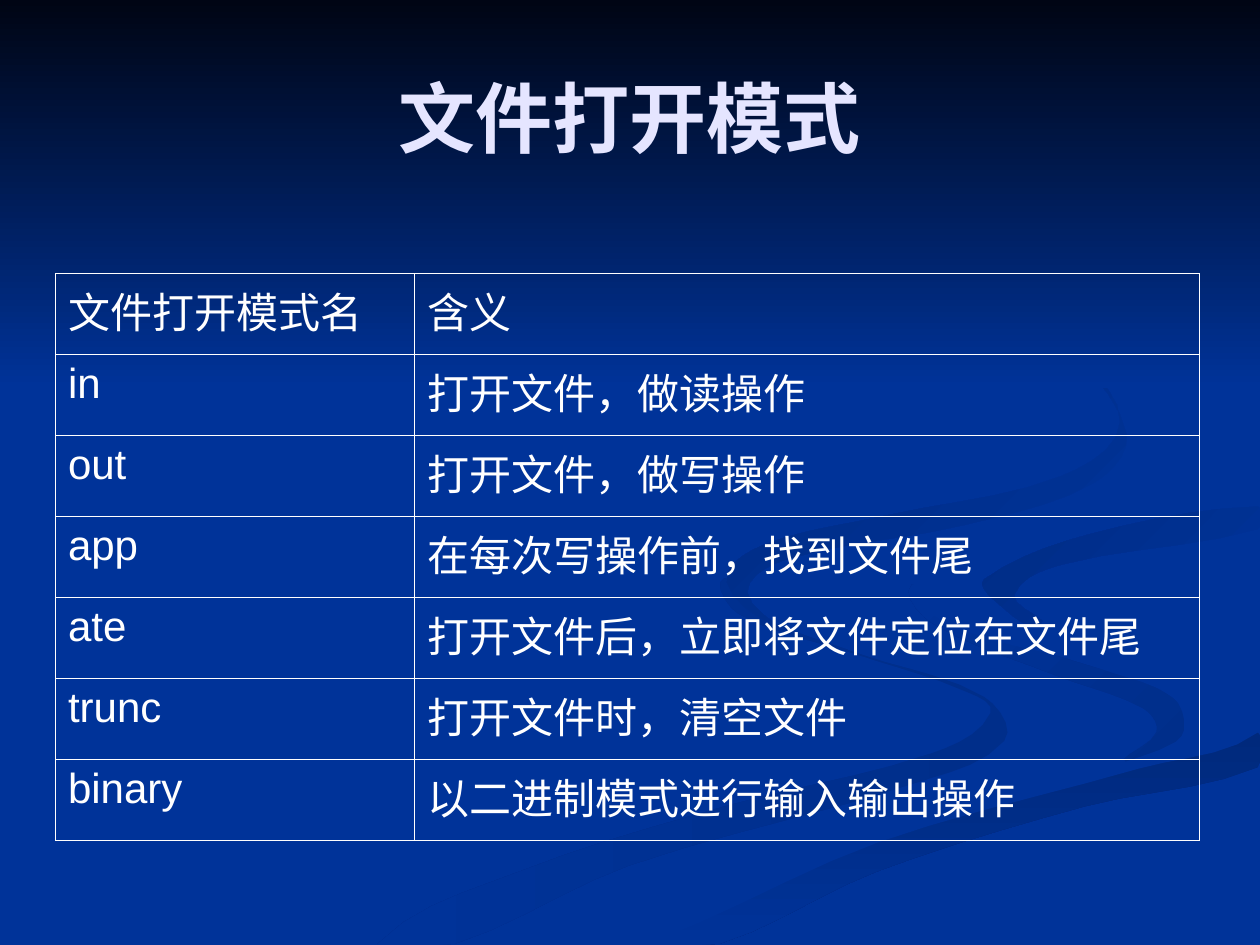
"""Builds a slide with a table of file opening modes over a blue wave background."""
from lxml import etree
from pptx import Presentation
from pptx import util as u
from pptx.dml import color
from pptx.enum import shapes, text
from pptx.oxml import ns

THEME = {
    "blue": "003399", "night": "000514", "title": "E5E5FF", "white": "FFFFFF",
    "shade": "002E8A", "deep": "00297C", "dusk": "002C85", "dim": "002B81",
    "title_size": 44, "cell_size": 24, "border": 0.45,
    "title_font": "Times New Roman", "cell_font": "Arial",
}


def paint(shape, first, last, angle):
    shape.shadow.inherit = False
    shape.line.fill.background()
    if first == last:
        shape.fill.solid()
        shape.fill.fore_color.rgb = color.RGBColor.from_string(THEME[first])
        return
    shape.fill.gradient()
    shape.fill.gradient_angle = angle
    for stop, name, position in zip(shape.fill.gradient_stops, (first, last), (0, 1)):
        stop.color.rgb = color.RGBColor.from_string(THEME[name])
        stop.position = position


def smooth_outline(outline, steps=5):
    knots = [complex(x, y) for x, y in outline]
    count = len(knots)
    chords = [knots[(i + 1) % count] - knots[i - 1] for i in range(count)]
    points = []
    for i, start in enumerate(knots):
        j = (i + 1) % count
        gap = knots[j] - start
        leave, arrive = (abs(gap) * chords[k] / abs(chords[k]) for k in (i, j))
        for t in (step / steps for step in range(steps)):
            spot = (start + gap * t * t * (3 - 2 * t)
                    + leave * t * (1 - t) ** 2 - arrive * t * t * (1 - t))
            points.append((u.Inches(min(spot.real, 10)), u.Inches(min(spot.imag, 7.5))))
    return points


WAVES = [
    ("shade", "blue", 180, [
        (5.75, 4.59), (5.86, 4.87), (6.79, 5.19), (7.62, 5.47), (7.86, 5.66), (7.39, 5.98),
        (5.79, 6.39), (4.17, 6.9), (3, 7.49), (3.61, 7.49), (4.99, 6.87), (7.21, 6.23),
        (7.97, 5.88), (7.81, 5.53), (6.82, 5.19), (5.94, 4.85)]),
    ("shade", "blue", 135, [
        (7.24, 4.64), (7.39, 4.94), (8.38, 5.36), (9.07, 5.62), (9.18, 5.81), (8.94, 6.05),
        (9.37, 5.86), (9.3, 5.53), (8.5, 5.24), (7.45, 4.9)]),
    ("deep", "blue", 270, [
        (5.03, 7.49), (5.71, 7.49), (6.95, 6.92), (8.61, 6.4), (9.98, 6.09), (9.98, 5.81),
        (9.03, 6.1), (7.64, 6.47), (6.3, 6.93)]),
    ("blue", "blue", 0, [
        (7.25, 4.64), (7.59, 4.98), (8.71, 5.3), (9.43, 5.7), (8.92, 6.05), (7.04, 6.55),
        (4.77, 7.49), (5.19, 7.47), (6.96, 6.69), (9.04, 6.1), (9.99, 5.81), (9.99, 5.38),
        (8.66, 5.09), (7.81, 4.63), (8.5, 4.27), (9.99, 4.02), (9.99, 3.87), (8.3, 4.15)]),
    ("blue", "dusk", 135, [
        (7.81, 4.6), (7.91, 4.78), (8.26, 4.96), (8.05, 4.72), (8.43, 4.48), (9.98, 4.2),
        (9.98, 4.02), (8.65, 4.24)]),
    ("blue", "dim", 135, [
        (7.62, 2.33), (8.46, 2.79), (8.89, 3.35), (8.42, 3.78), (7.04, 4.09), (6.05, 4.33),
        (5.77, 4.62), (6.22, 5), (5.93, 4.7), (6.24, 4.44), (7.64, 4.17), (8.67, 3.84),
        (8.94, 3.44), (8.43, 2.75)]),
]

MODES = [
    ("文件打开模式名", "含义"),
    ("in", "打开文件，做读操作"),
    ("out", "打开文件，做写操作"),
    ("app", "在每次写操作前，找到文件尾"),
    ("ate", "打开文件后，立即将文件定位在文件尾"),
    ("trunc", "打开文件时，清空文件"),
    ("binary", "以二进制模式进行输入输出操作"),
]

deck = Presentation()
deck.slide_width, deck.slide_height = u.Inches(10), u.Inches(7.5)
slide = deck.slides.add_slide(deck.slide_layouts[6])
slide.background.fill.solid()
slide.background.fill.fore_color.rgb = color.RGBColor.from_string(THEME["blue"])

for first, last, angle, outline in WAVES:
    points = smooth_outline(outline)
    builder = slide.shapes.build_freeform(*points[0])
    builder.add_line_segments(points[1:], close=True)
    paint(builder.convert_to_shape(), first, last, angle)

sky = slide.shapes.add_shape(shapes.MSO_SHAPE.RECTANGLE, 0, 0, u.Inches(10), u.Inches(3.08))
paint(sky, "night", "blue", 270)

heading = slide.shapes.add_textbox(u.Inches(0.5), u.Inches(0.3), u.Inches(9), u.Inches(1.25)).text_frame
for key, value in {"word_wrap": True, "vertical_anchor": text.MSO_ANCHOR.MIDDLE}.items():
    setattr(heading, key, value)
heading.paragraphs[0].alignment = text.PP_ALIGN.CENTER
wordings = [(heading, "文件打开模式", "title", "title", True)]

modes = slide.shapes.add_table(
    len(MODES), 2, u.Inches(0.44), u.Inches(2.17), u.Inches(9.08), u.Inches(4.5)).table
for key in ("first_row", "horz_banding"):
    setattr(modes, key, False)
for column, width in zip(modes.columns, (2.85, 6.23)):
    column.width = u.Inches(width)

for row, entry in enumerate(MODES):
    for column, wording in enumerate(entry):
        cell = modes.cell(row, column)
        cell.fill.background()
        wordings.append((cell.text_frame, wording, "cell", "white", False))
        properties = cell._tc.get_or_add_tcPr()
        for place, side in enumerate(("lnL", "lnR", "lnT", "lnB")):
            border = etree.Element(ns.qn(f"a:{side}"), w=str(int(u.Pt(THEME["border"]))))
            ink = etree.SubElement(border, ns.qn("a:solidFill"))
            etree.SubElement(ink, ns.qn("a:srgbClr"), val=THEME["white"])
            properties.insert(place, border)

for frame, wording, role, tint, bold in wordings:
    run = frame.paragraphs[0].add_run()
    run.text = wording
    values = {"size": u.Pt(THEME[f"{role}_size"]), "name": THEME[f"{role}_font"], "bold": bold}
    for key, value in values.items():
        setattr(run.font, key, value)
    run.font.color.rgb = color.RGBColor.from_string(THEME[tint])

deck.save("out.pptx")
